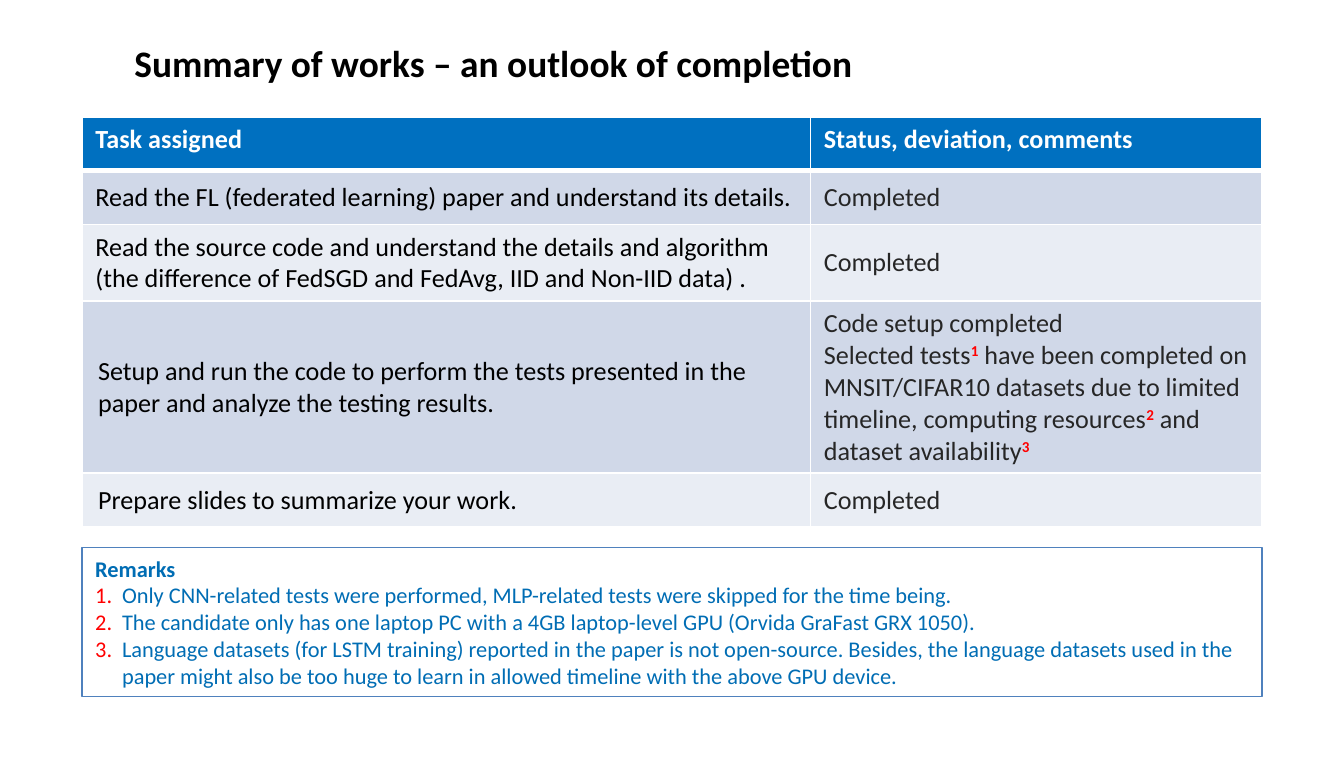
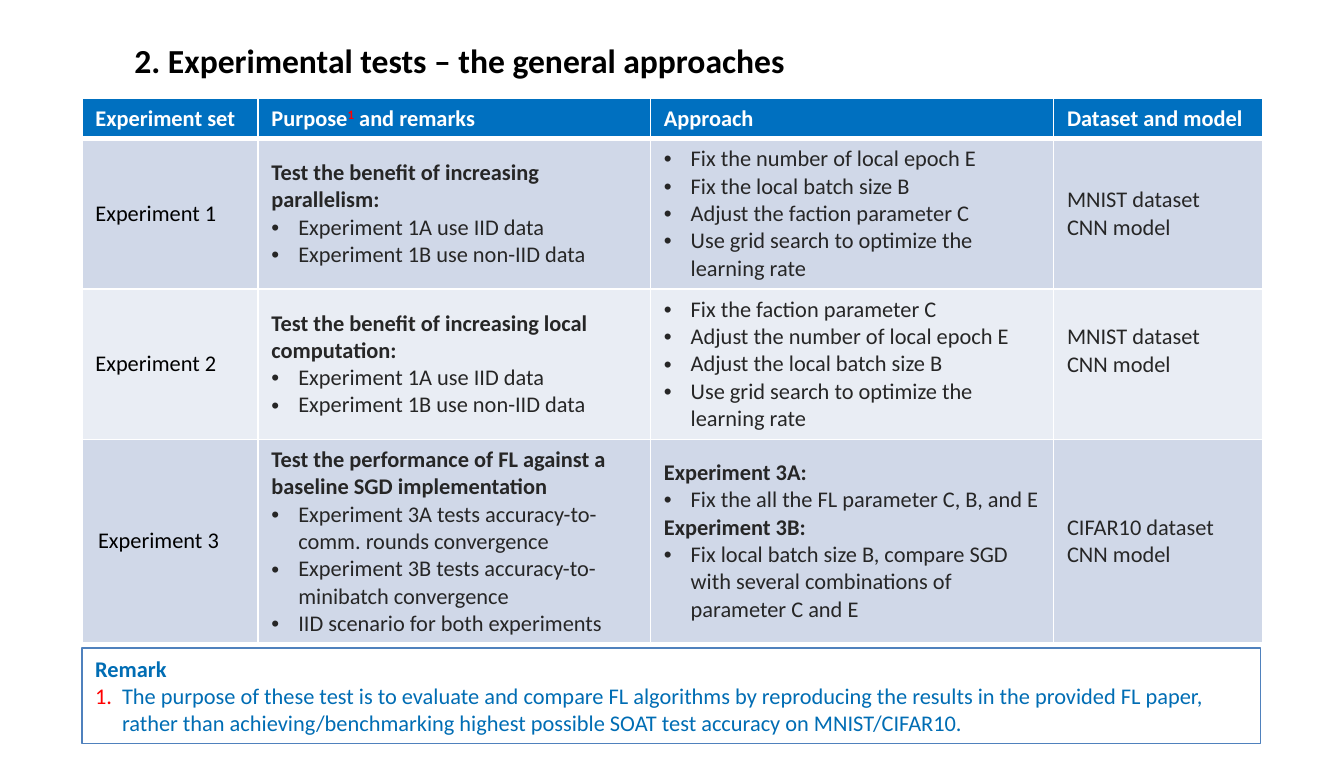
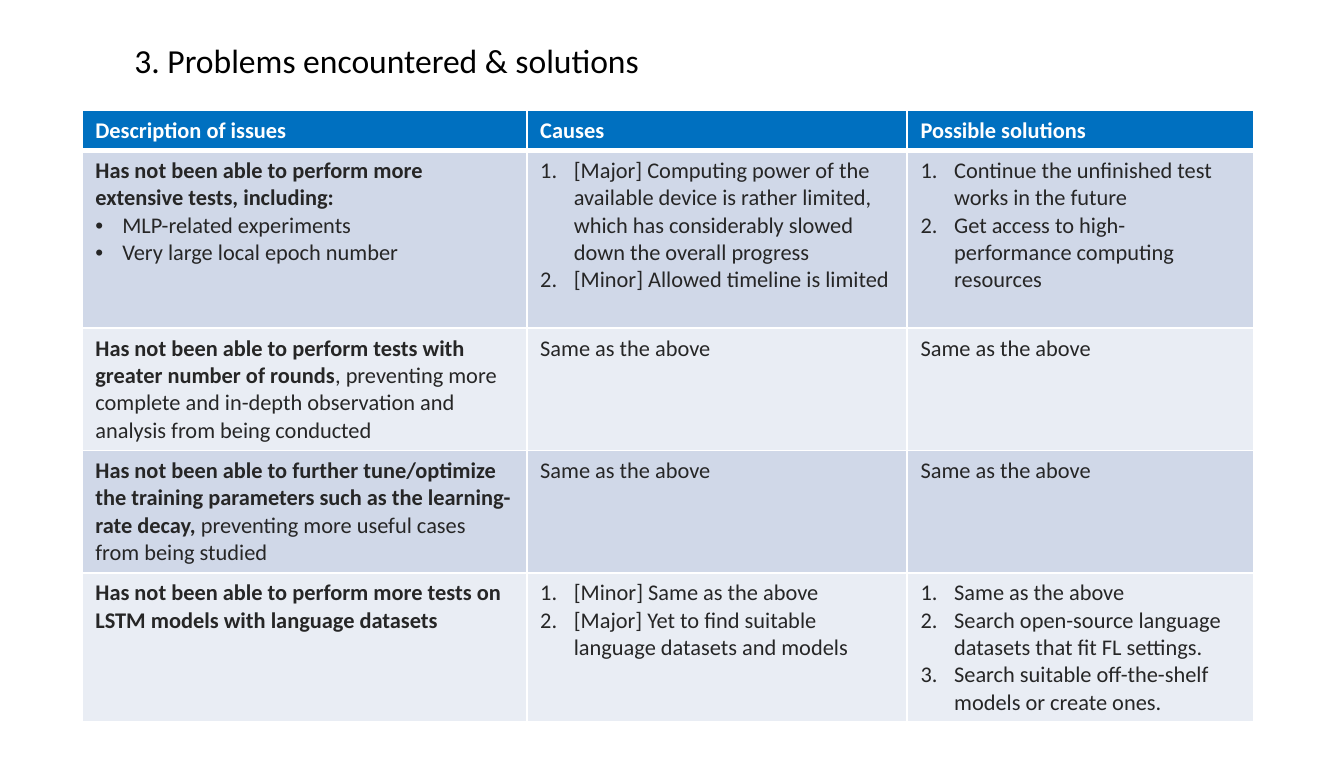
import dataclasses

import pptx
import pptx.dml.color
import pptx.enum.shapes
import pptx.enum.text
import pptx.oxml.ns
import pptx.util
from lxml import etree

Inches = pptx.util.Inches
Pt = pptx.util.Pt
Anchor = pptx.enum.text.MSO_ANCHOR

COLORS = {
    "title": "000000",
    "header": "0070C0",
    "white": "FFFFFF",
    "odd": "D0D8E8",
    "even": "E9EDF4",
    "label": "000000",
    "body": "262626",
    "marker": "FF0000",
    "remark": "006DB4",
    "outline": "4F81BD",
}
FONT = "Calibri"
LEFT = 0.61
BULLET_INDENT = 0.2
NUMBER_INDENT = 0.25
SIDE_INSETS = (0.12, 0, 0.12, 0)


@dataclasses.dataclass
class Box:
    left: float
    top: float
    width: float
    height: float

    def lengths(self):
        return [Inches(value) for value in dataclasses.astuple(self)]


@dataclasses.dataclass
class Line:
    runs: tuple
    marker: str = ""


def plain(*runs):
    return Line(runs)


def bullets(*texts):
    return [Line((text,), "bullet") for text in texts]


def numbers(*texts):
    return [Line((text,), "number") for text in texts]


def bold(text):
    return text, {"bold": True}


def note(text):
    return text, {"bold": True, "color": "marker", "raised": True}


def rgb(name):
    return pptx.dml.color.RGBColor.from_string(COLORS[name])


def apply_values(target, values):
    for name, value in values.items():
        setattr(target, name, value)


def add_element(parent, tag, **attributes):
    return etree.SubElement(parent, pptx.oxml.ns.qn(tag), attributes)


def add_run(paragraph, text, size, color, bold=False, raised=False):
    run = paragraph.add_run()
    run.text = text
    apply_values(run.font, {"name": FONT, "size": Pt(size), "bold": bold})
    run.font.color.rgb = rgb(color)
    if raised:
        run.font._element.set("baseline", "30000")


def add_marker(paragraph, marker, indent, color):
    properties = paragraph._p.get_or_add_pPr()
    properties.set("marL", str(Inches(indent)))
    properties.set("indent", str(-Inches(indent)))
    fill = add_element(properties, "a:buClr")
    add_element(fill, "a:srgbClr", val=COLORS[color])
    if marker == "bullet":
        add_element(properties, "a:buFont", typeface="Arial")
        add_element(properties, "a:buChar", char="•")
    else:
        add_element(properties, "a:buFont", typeface="+mj-lt")
        add_element(properties, "a:buAutoNum", type="arabicPeriod")


def write_lines(frame, lines, size, color, bold=False,
                number_indent=NUMBER_INDENT, marker_color=None):
    for index, line in enumerate(lines):
        paragraph = frame.add_paragraph() if index else frame.paragraphs[0]
        paragraph.alignment = pptx.enum.text.PP_ALIGN.LEFT
        if line.marker:
            indent = BULLET_INDENT if line.marker == "bullet" else number_indent
            add_marker(paragraph, line.marker, indent, marker_color or color)
        for run in line.runs:
            text, changes = (run, {}) if isinstance(run, str) else run
            add_run(paragraph, text, size, **({"color": color, "bold": bold} | changes))


def add_title(slide, box, text, size, bold):
    title = slide.shapes.title
    apply_values(title, dict(zip(("left", "top", "width", "height"), box.lengths())))
    frame = title.text_frame
    apply_values(frame, {
        "margin_left": 0, "margin_top": 0, "margin_right": 0, "margin_bottom": 0,
        "word_wrap": True, "vertical_anchor": Anchor.TOP,
        "auto_size": pptx.enum.text.MSO_AUTO_SIZE.SHAPE_TO_FIT_TEXT,
    })
    write_lines(frame, [plain(text)], size, "title", bold)


def format_cell(cell, fill, anchor, insets, bottom_border):
    left, top, right, bottom = (Inches(value) for value in insets)
    apply_values(cell, {
        "margin_left": left, "margin_top": top, "margin_right": right,
        "margin_bottom": bottom, "vertical_anchor": anchor,
    })
    properties = cell._tc.get_or_add_tcPr()
    for side, width in (("L", 1), ("R", 1), ("T", 1), ("B", bottom_border)):
        border = add_element(properties, "a:ln" + side, w=str(Pt(width)))
        border_fill = add_element(border, "a:solidFill")
        add_element(border_fill, "a:srgbClr", val=COLORS["white"])
    cell.fill.solid()
    cell.fill.fore_color.rgb = rgb(fill)


def add_task_table(slide, box, columns, heights, rows, size,
                   anchor=Anchor.MIDDLE, label_color="label", insets=None):
    frame = slide.shapes.add_table(len(rows), len(columns), *box.lengths())
    table = frame.table
    for column, width in zip(table.columns, columns):
        column.width = Inches(width)
    for row, height in zip(table.rows, heights):
        row.height = Inches(height)
    for row_index, row in enumerate(rows):
        is_header = row_index == 0
        for column_index, content in enumerate(row):
            cell = table.cell(row_index, column_index)
            lines = [plain(content)] if isinstance(content, str) else content
            if is_header:
                fill, color = "header", "white"
            else:
                fill = "odd" if row_index % 2 else "even"
                color = "body" if column_index else label_color
            cell_insets = (insets or {}).get(
                (row_index, column_index), (0.1, 0.05, 0.1, 0.05))
            format_cell(cell, fill, Anchor.TOP if is_header else anchor,
                        cell_insets, 3 if is_header else 1)
            write_lines(cell.text_frame, lines, size, color, is_header)


def add_remarks(slide, box, heading, remarks):
    shape = slide.shapes.add_shape(
        pptx.enum.shapes.MSO_SHAPE.RECTANGLE, *box.lengths())
    shape.shadow.inherit = False
    shape.fill.background()
    shape.line.color.rgb = rgb("outline")
    shape.line.width = Pt(0.75)
    shape.text_frame.word_wrap = True
    write_lines(shape.text_frame, [plain(bold(heading)), *numbers(*remarks)], 12,
                "remark", number_indent=0.2, marker_color="marker")


def add_titled_slide(presentation, text, size=18, bold=True):
    slide = presentation.slides.add_slide(presentation.slide_layouts[5])
    add_title(slide, Box(1, 0.3, 8.17, 0.34 if size == 20 else 0.3), text, size, bold)
    return slide


def build_summary(presentation):
    slide = add_titled_slide(
        presentation, "Summary of works – an outlook of completion", 20)
    rows = [
        ["Task assigned", "Status, deviation, comments"],
        ["Read the FL (federated learning) paper and understand its details.",
         "Completed"],
        ["Read the source code and understand the details and algorithm "
         "(the difference of FedSGD and FedAvg, IID and Non-IID data) .", "Completed"],
        ["Setup and run the code to perform the tests presented in the paper "
         "and analyze the testing results.",
         [plain("Code setup completed"),
          plain("Selected tests", note("1"),
                " have been completed on MNSIT/CIFAR10 datasets due to limited "
                "timeline, computing resources", note("2"),
                " and dataset availability", note("3"))]],
        ["Prepare slides to summarize your work.", "Completed"],
    ]
    add_task_table(slide, Box(LEFT, 0.87, 8.78, 3.05), [5.42, 3.36],
                   [0.4, 0.4, 0.57, 1.28, 0.4], rows, 14,
                   insets={(3, 0): SIDE_INSETS, (4, 0): SIDE_INSETS})
    add_remarks(slide, Box(LEFT, 4.07, 8.78, 1.11), "Remarks", [
        "Only CNN-related tests were performed, MLP-related tests were skipped "
        "for the time being.",
        "The candidate only has one laptop PC with a 4GB laptop-level GPU "
        "(Orvida GraFast GRX 1050).",
        "Language datasets (for LSTM training) reported in the paper is not "
        "open-source. Besides, the language datasets used in the paper might also "
        "be too huge to learn in allowed timeline with the above GPU device.",
    ])


def build_experiments(presentation):
    slide = add_titled_slide(
        presentation, "2. Experimental tests – the general approaches")
    data_kinds = bullets("Experiment 1A use IID data", "Experiment 1B use non-IID data")
    grid_search = "Use grid search to optimize the learning rate"
    mnist = [plain("MNIST dataset"), plain("CNN model")]
    rows = [
        ["Experiment set", [plain("Purpose", note("1"), " and remarks")],
         "Approach", "Dataset and model"],
        ["Experiment 1",
         [plain(bold("Test the benefit of increasing parallelism:")), *data_kinds],
         bullets("Fix the number of local epoch E", "Fix the local batch size B",
                 "Adjust the faction parameter C", grid_search), mnist],
        ["Experiment 2",
         [plain(bold("Test the benefit of increasing local computation:")), *data_kinds],
         bullets("Fix the faction parameter C", "Adjust the number of local epoch E",
                 "Adjust the local batch size B", grid_search), mnist],
        ["Experiment 3",
         [plain(bold("Test the performance of FL against a baseline SGD implementation")),
          *bullets("Experiment 3A tests accuracy-to-comm. rounds convergence",
                   "Experiment 3B tests accuracy-to-minibatch convergence",
                   "IID scenario for both experiments")],
         [plain(bold("Experiment 3A:")),
          *bullets("Fix the all the FL parameter C, B, and E"),
          plain(bold("Experiment 3B:")),
          *bullets("Fix local batch size B, compare SGD with several combinations "
                   "of parameter C and E")],
         [plain("CIFAR10 dataset"), plain("CNN model")]],
    ]
    add_task_table(slide, Box(LEFT, 0.73, 8.79, 4.05), [1.31, 2.92, 3, 1.56],
                   [0.3, 1.12, 1.12, 1.51], rows, 12,
                   insets={(3, 0): SIDE_INSETS, (2, 3): (0.1, 0.05, 0.1, 0.25)})
    add_remarks(slide, Box(LEFT, 4.82, 8.77, 0.71), "Remark", [
        "The purpose of these test is to evaluate and compare FL algorithms by "
        "reproducing the results in the provided FL paper, rather than "
        "achieving/benchmarking highest possible SOAT test accuracy on MNIST/CIFAR10.",
    ])


def build_problems(presentation):
    slide = add_titled_slide(
        presentation, "3. Problems encountered & solutions", bold=False)
    same = "Same as the above"
    rows = [
        ["Description of issues", "Causes", "Possible solutions"],
        [[plain(bold("Has not been able to perform more extensive tests, including:")),
          *bullets("MLP-related experiments", "Very large local epoch number")],
         numbers("[Major] Computing power of the available device is rather limited, "
                 "which has considerably slowed down the overall progress",
                 "[Minor] Allowed timeline is limited"),
         numbers("Continue the unfinished test works in the future",
                 "Get access to high-performance computing resources")],
        [[plain(bold("Has not been able to perform tests with greater number of rounds"),
                ", preventing more complete and in-depth observation and analysis "
                "from being conducted")], same, same],
        [[plain(bold("Has not been able to further tune/optimize the training "
                     "parameters such as the learning-rate decay, "),
                "preventing more useful cases from being studied")], same, same],
        [[plain(bold("Has not been able to perform more tests on LSTM models "
                     "with language datasets"))],
         numbers("[Minor] Same as the above",
                 "[Major] Yet to find suitable language datasets and models"),
         numbers(same, "Search open-source language datasets that fit FL settings.",
                 "Search suitable off-the-shelf models or create ones.")],
    ]
    add_task_table(slide, Box(LEFT, 0.82, 8.72, 4.55), [3.31, 2.83, 2.58],
                   [0.3, 1.32, 0.91, 0.91, 1.11], rows, 12,
                   anchor=Anchor.TOP, label_color="body")


def main():
    presentation = pptx.Presentation()
    apply_values(presentation, {"slide_width": Inches(10), "slide_height": Inches(5.63)})
    for build in (build_summary, build_experiments, build_problems):
        build(presentation)
    presentation.save("out.pptx")


if __name__ == "__main__":
    main()
